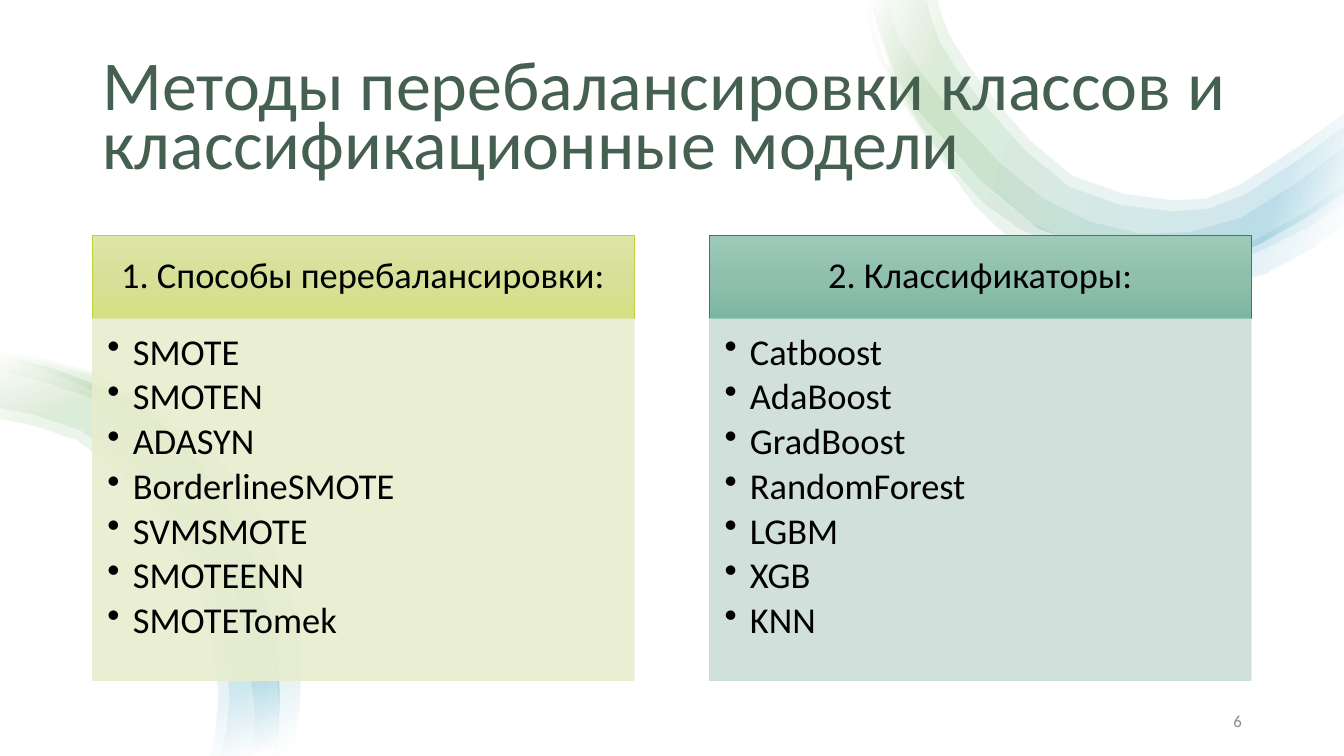
from pptx import Presentation
from pptx.dml.color import RGBColor
from pptx.enum.shapes import MSO_SHAPE
from pptx.enum.text import MSO_ANCHOR, MSO_AUTO_SIZE, PP_ALIGN
from pptx.oxml import parse_xml
from pptx.oxml.ns import nsdecls, qn
from pptx.util import Cm, Pt

# Content
TITLE = "Методы перебалансировки классов и классификационные модели"
PAGE_NUMBER = "6"
COLUMNS = [
    ("1. Способы перебалансировки:", "lime",
     ["SMOTE", "SMOTEN", "ADASYN", "BorderlineSMOTE", "SVMSMOTE", "SMOTEENN", "SMOTETomek"]),
    ("2. Классификаторы:", "teal",
     ["Catboost", "AdaBoost", "GradBoost", "RandomForest", "LGBM", "XGB", "KNN"]),
]

FONT = "Calibri"
COLORS = {
    "title": "455F51", "text": "000000", "number": "8C8C8C",
    "white": "FFFFFF", "blue": "0989B1", "green": "549E39",
    "lime_top": "DDE6A6", "lime_mid": "D7E098", "lime_end": "D4E084",
    "lime_line": "C0CF3A", "lime_body": "E8EDCE",
    "teal_top": "9DCAB8", "teal_mid": "90C0AD", "teal_end": "7CB7A1",
    "teal_line": "029676", "teal_body": "CCDDD6",
}

# Ribbons: each band is an outer edge and an inner edge, as knots in units of 2.54 cm
UNIT = 2.54
TOP_OUTER = [(8.65, 0), (8.89, .75), (9.34, 1.35), (10.3, 2.26), (11.64, 2.6),
             (12.48, 2.42), (13.33, 1.9)]
LEFT_OUTER = [(0, 3.52), (1.22, 3.92), (2.03, 4.7), (2.57, 5.73), (2.77, 6.89), (2.7, 7.5)]
TOP_RIBBON = [
    ([(8.6, 0), (8.71, .56), (9.31, 1.54), (10.09, 2.44), (11.27, 2.87), (12.53, 2.72),
      (13.33, 2.23)],
     [(13.33, 1.83), (12.39, 2.41), (11.3, 2.55), (10.25, 2.22), (9.43, 1.47), (8.78, .6),
      (8.64, 0)]),
    ([(8.65, 0), (8.86, .77), (9.47, 1.69), (10.13, 2.27), (11.27, 2.62), (12.47, 2.5),
      (13.33, 2.01)],
     [(13.33, 1.46), (12.31, 2.15), (11.31, 2.31), (10.35, 1.96), (9.55, 1.22), (8.94, .43),
      (8.83, 0)]),
    (TOP_OUTER,
     [(13.33, 1.25), (12.35, 1.92), (11.64, 2.09), (10.61, 1.85), (9.79, 1.06), (9.33, .42),
      (9.2, 0)]),
    (TOP_OUTER,
     [(13.33, 1.12), (12.29, 1.83), (11.64, 1.98), (10.64, 1.74), (9.88, 1), (9.43, .36),
      (9.31, 0)]),
]
LEFT_RIBBON = [
    (LEFT_OUTER,
     [(2.08, 7.5), (2.16, 6.89), (1.98, 5.88), (1.48, 4.99), (.76, 4.37), (0, 4.16)]),
    (LEFT_OUTER,
     [(2.18, 7.5), (2.27, 6.89), (2.08, 5.85), (1.56, 4.92), (.81, 4.28), (0, 4.05)]),
    ([(0, 3.52), (.99, 3.75), (1.86, 4.42), (2.47, 5.35), (2.77, 6.45), (2.72, 7.5)],
     [(2.46, 7.5), (2.52, 7.01), (2.23, 5.48), (1.68, 4.6), (.9, 3.95), (0, 3.69)]),
    ([(0, 3.5), (.96, 3.71), (2.14, 4.53), (2.65, 5.26), (2.99, 6.42), (2.89, 7.5)],
     [(2.7, 7.5), (2.76, 7.01), (2.61, 5.91), (2.14, 4.91), (1.39, 4.09), (0, 3.53)]),
]
RIBBON_STOPS = [(2, "white"), (16, "blue"), (85, "green"), (100, "white")]

# Layout
LEFT, COLUMN_WIDTH, COLUMN_STEP = Cm(2.33), Cm(13.65), Cm(15.55)
HEADER_TOP, HEADER_HEIGHT, BODY_HEIGHT = Cm(5.94), Cm(2.09), Cm(9.12)


def rgb(name):
    return RGBColor.from_string(COLORS[name])


def gradient(shape, stops, angle, alpha=100):
    stop_xml = "".join(
        f'<a:gs pos="{pos * 1000}"><a:srgbClr val="{COLORS[name]}">'
        f'<a:alpha val="{alpha * 1000}"/></a:srgbClr></a:gs>' for pos, name in stops)
    shape.fill.background()
    properties = shape.element.spPr
    properties.replace(properties.find(qn("a:noFill")), parse_xml(
        f'<a:gradFill {nsdecls("a")} rotWithShape="1"><a:gsLst>{stop_xml}</a:gsLst>'
        f'<a:lin ang="{angle * 60000}" scaled="0"/></a:gradFill>'))


def make_translucent(properties, alpha):
    for color in properties.iter(qn("a:srgbClr")):
        color.append(parse_xml(f'<a:alpha {nsdecls("a")} val="{alpha * 1000}"/>'))


def smooth(knots, steps=2):
    """Points of a Catmull-Rom curve through the knots."""
    padded = [knots[0], *knots, knots[-1]]
    points = [knots[0]]
    for a, b, c, d in zip(padded, padded[1:], padded[2:], padded[3:]):
        for t in (step / steps for step in range(1, steps + 1)):
            points.append(tuple(
                q + t / 2 * (r - p + t * (2 * p - 5 * q + 4 * r - s + t * (3 * q - p - 3 * r + s)))
                for p, q, r, s in zip(a, b, c, d)))
    return points


def style(paragraph, size, color, align, spacing=None, after=0):
    paragraph.font.name, paragraph.font.size = FONT, Pt(size)
    paragraph.font.color.rgb = rgb(color)
    paragraph.alignment = align
    paragraph.line_spacing, paragraph.space_after = spacing, Pt(after)


def add_panel(left, top, height, line, insets, anchor):
    panel = slide.shapes.add_shape(MSO_SHAPE.RECTANGLE, left, top, COLUMN_WIDTH, height)
    panel.shadow.inherit = False
    panel.line.color.rgb, panel.line.width = rgb(line), Pt(0.5)
    frame = panel.text_frame
    frame.word_wrap, frame.vertical_anchor = True, anchor
    frame.margin_left, frame.margin_top, frame.margin_right, frame.margin_bottom = map(Cm, insets)
    return panel


prs = Presentation()
prs.slide_width, prs.slide_height = Cm(33.87), Cm(19.05)
slide = prs.slides.add_slide(prs.slide_layouts[5])

# Ribbons in the background
for ribbon, angle in ((TOP_RIBBON, 200), (LEFT_RIBBON, 250)):
    for outer, inner in ribbon:
        outline = [(Cm(x * UNIT), Cm(y * UNIT)) for x, y in smooth(outer) + smooth(inner)]
        builder = slide.shapes.build_freeform(*outline[0])
        builder.add_line_segments(outline[1:], close=True)
        band = builder.convert_to_shape()
        band.shadow.inherit = False
        band.line.fill.background()
        gradient(band, RIBBON_STOPS, angle, alpha=10)

# Title, in front of the ribbons
title = slide.shapes.title
slide.shapes.element.append(title.element)
title.left, title.top, title.width, title.height = LEFT, Cm(1.02), Cm(29.21), Cm(3.68)
title.text_frame.text = TITLE
title.text_frame.word_wrap = True
title.text_frame.auto_size = MSO_AUTO_SIZE.NONE
title.text_frame.vertical_anchor = MSO_ANCHOR.BOTTOM
style(title.text_frame.paragraphs[0], 50, "title", PP_ALIGN.LEFT, 0.7, 6)

# Columns: heading and bulleted list
for index, (heading, hue, methods) in enumerate(COLUMNS):
    left = LEFT + index * COLUMN_STEP
    header = add_panel(left, HEADER_TOP, HEADER_HEIGHT, f"{hue}_line",
                       (0.5, 0.3, 0.5, 0.3), MSO_ANCHOR.MIDDLE)
    gradient(header, [(0, f"{hue}_top"), (50, f"{hue}_mid"), (100, f"{hue}_end")], 90)
    header.text_frame.text = heading
    style(header.text_frame.paragraphs[0], 26, "text", PP_ALIGN.CENTER, 0.9)

    body = add_panel(left, HEADER_TOP + HEADER_HEIGHT, BODY_HEIGHT, f"{hue}_body",
                     (0.38, 0.38, 0.5, 0.58), MSO_ANCHOR.TOP)
    body.fill.solid()
    body.fill.fore_color.rgb = rgb(f"{hue}_body")
    make_translucent(body.element.spPr, 90)
    body.text_frame.text = "\n".join(methods)
    for method in body.text_frame.paragraphs:
        style(method, 26, "text", PP_ALIGN.LEFT, 0.9, 3.9)
        properties = method._p.get_or_add_pPr()
        properties.set("marL", str(Cm(0.64)))
        properties.set("indent", str(-Cm(0.64)))
        bullet = parse_xml(f'<a:buChar {nsdecls("a")} char="•"/>')
        properties.find(qn("a:defRPr")).addprevious(bullet)

# Page number
number = slide.shapes.add_textbox(Cm(23.93), Cm(17.65), Cm(7.62), Cm(1.02)).text_frame
number.word_wrap, number.vertical_anchor = True, MSO_ANCHOR.MIDDLE
number.text = PAGE_NUMBER
style(number.paragraphs[0], 12, "number", PP_ALIGN.RIGHT)

prs.save("out.pptx")
